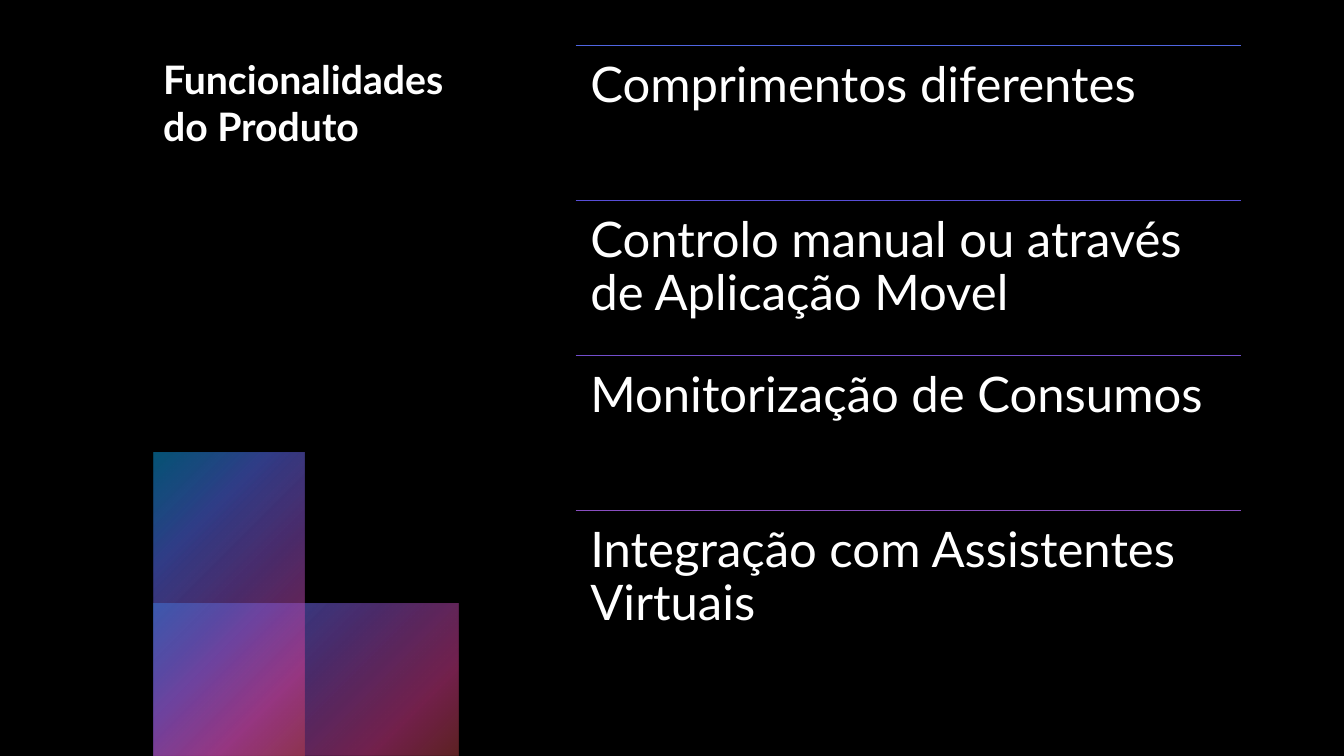
from lxml import etree
from pptx import Presentation
from pptx.dml.color import RGBColor
from pptx.enum.shapes import MSO_CONNECTOR, MSO_SHAPE
from pptx.oxml import parse_xml
from pptx.oxml.ns import nsdecls, qn
from pptx.util import Pt

FONT = "Lato"
WHITE = "FFFFFF"
BLACK = "000000"
# Position %, colour, opacity %
GLOW = [(0, "0BA5E8", 50), (25, "5066E1", 60), (50, "894EC0", 55),
        (81, "E54196", 50), (99, "BE4449", 50)]
FEATURES = [
    ("Comprimentos diferentes", "5066E1"),
    ("Controlo manual ou através de Aplicação Movel", "584ED7"),
    ("Monitorização de Consumos", "734ECC"),
    ("Integração com Assistentes Virtuais", "894EC0"),
]
LIST_LEFT, LIST_TOP, LIST_WIDTH, ROW_HEIGHT = 411.2, 32.2, 475.2, 110.9
BLOCK_LEFT = 109.4


def colour(value):
    return RGBColor.from_string(value)


def add_text(slide, box, words, size, inset, bold=False, spacing=1.0):
    """Add a wrapped text box; inset holds the side and the top margins."""
    text_box = slide.shapes.add_textbox(*map(Pt, box))
    frame = text_box.text_frame
    frame.word_wrap = True
    side, top = map(Pt, inset)
    frame.margin_left = frame.margin_right = side
    frame.margin_top = frame.margin_bottom = top
    paragraph = frame.paragraphs[0]
    paragraph.line_spacing = spacing
    run = paragraph.add_run()
    run.text = words
    run.font.name = FONT
    run.font.size = Pt(size)
    run.font.bold = bold
    run.font.color.rgb = colour(WHITE)


def add_glow_block(slide, left, top, width, height):
    """Add a translucent rectangle whose gradient spreads from its top left."""
    block = slide.shapes.add_shape(
        MSO_SHAPE.RECTANGLE, Pt(left), Pt(top), Pt(width), Pt(height))
    block.shadow.inherit = False
    block.line.fill.background()
    block.fill.background()
    stops = "".join(
        f'<a:gs pos="{position * 1000}"><a:srgbClr val="{tint}">'
        f'<a:alpha val="{opacity * 1000}"/></a:srgbClr></a:gs>'
        for position, tint, opacity in GLOW)
    gradient = parse_xml(
        f'<a:gradFill {nsdecls("a")} rotWithShape="1"><a:gsLst>{stops}</a:gsLst>'
        '<a:path path="circle"><a:fillToRect r="100000" b="100000"/></a:path>'
        '</a:gradFill>')
    properties = block._element.spPr
    properties.replace(properties.find(qn("a:noFill")), gradient)


def add_rule(slide, left, top, width, tint):
    rule = slide.shapes.add_connector(
        MSO_CONNECTOR.STRAIGHT, Pt(left), Pt(top), Pt(left + width), Pt(top))
    rule.line.color.rgb = colour(tint)
    rule.line.width = Pt(0.5)
    etree.SubElement(rule._element.spPr, qn("a:effectLst"))


def add_feature(slide, row, words, tint):
    top = LIST_TOP + row * ROW_HEIGHT
    add_rule(slide, LIST_LEFT, top, LIST_WIDTH, tint)
    add_text(slide, (LIST_LEFT, top, LIST_WIDTH, ROW_HEIGHT), words, 35,
             inset=(10.5, 10.5), spacing=0.9)


def main():
    deck = Presentation()
    deck.slide_width, deck.slide_height = Pt(960), Pt(540)
    slide = deck.slides.add_slide(deck.slide_layouts[6])
    backdrop = slide.background.fill
    backdrop.solid()
    backdrop.fore_color.rgb = colour(BLACK)

    add_glow_block(slide, BLOCK_LEFT, 431, 218.2, 109)
    add_glow_block(slide, BLOCK_LEFT, 323, 108.3, 217)
    add_text(slide, (BLOCK_LEFT, 36, 250.6, 267), "Funcionalidades do Produto",
             28, inset=(7.2, 3.6), bold=True)
    for row, (words, tint) in enumerate(FEATURES):
        add_feature(slide, row, words, tint)

    deck.save("out.pptx")


if __name__ == "__main__":
    main()
